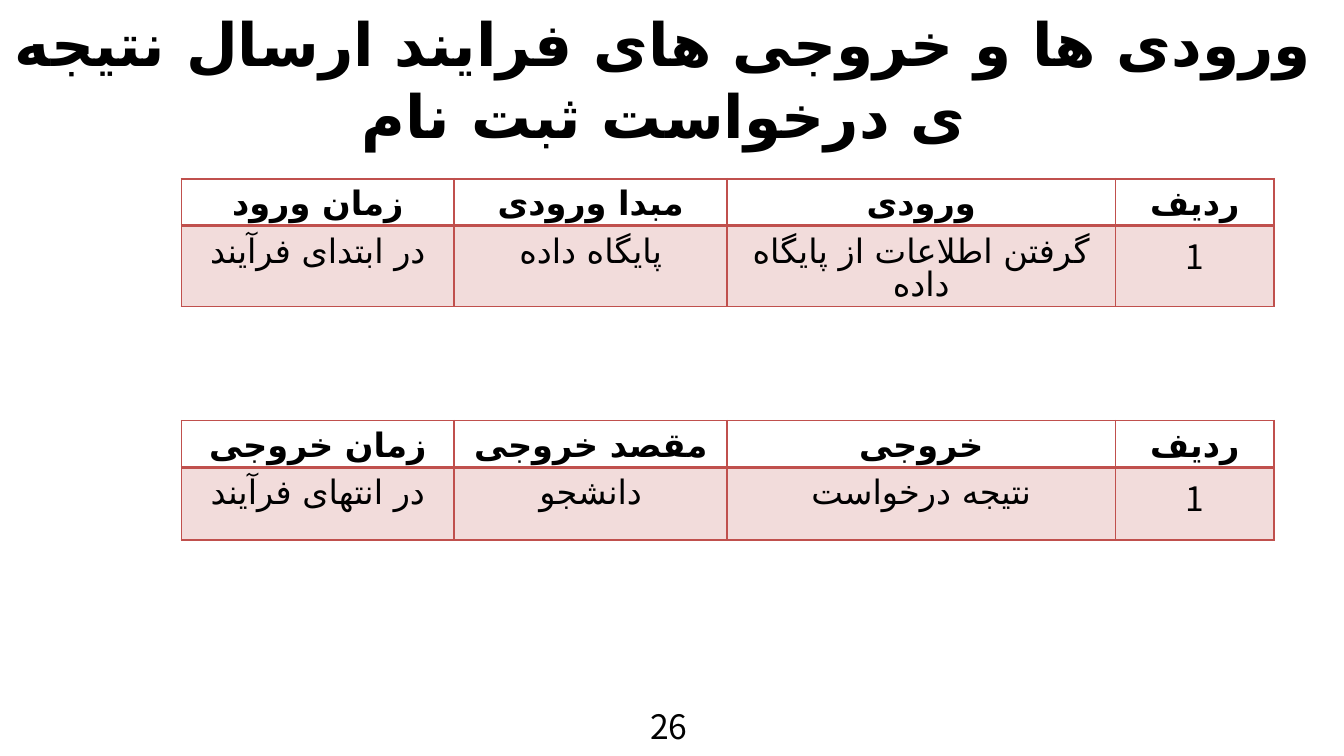
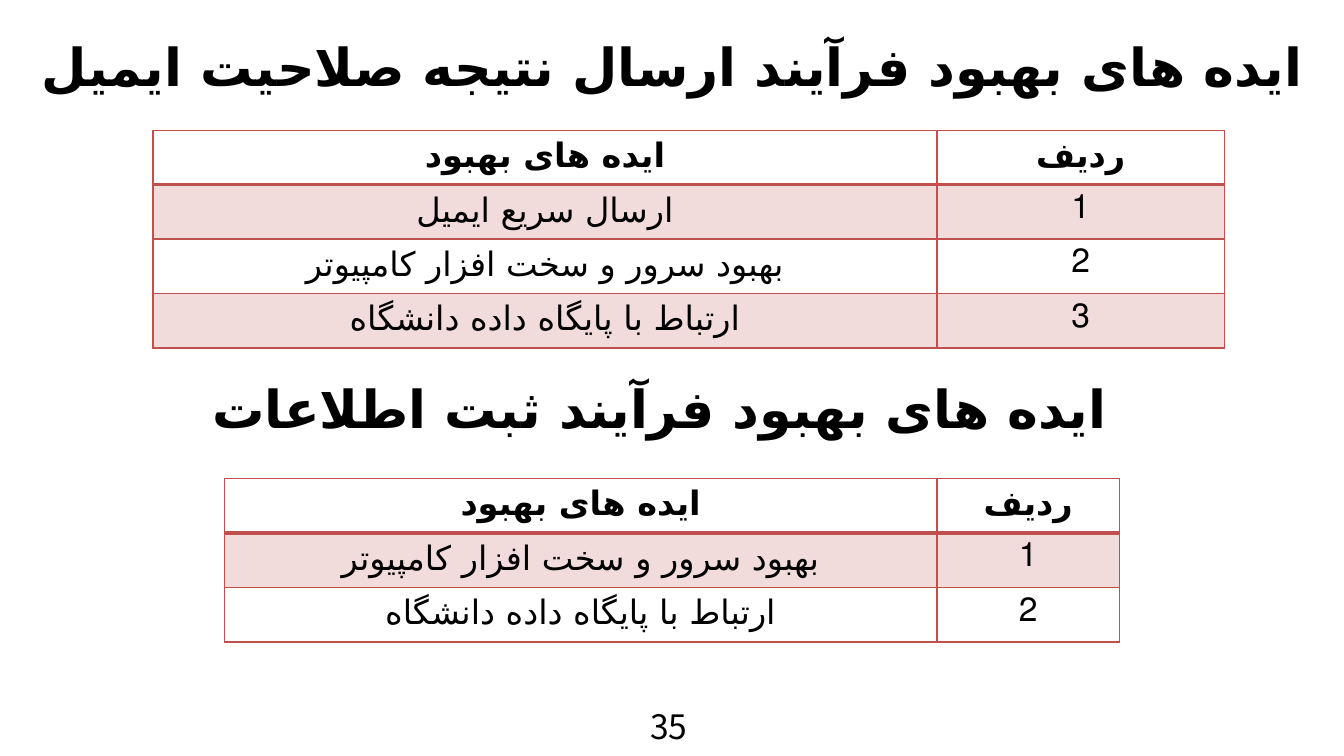
from dataclasses import dataclass

from lxml import etree
from pptx import Presentation
from pptx.dml.color import RGBColor
from pptx.enum.text import MSO_ANCHOR, PP_ALIGN
from pptx.oxml.ns import qn
from pptx.util import Inches, Pt

CENTER = PP_ALIGN.CENTER
LEFT = PP_ALIGN.LEFT
MIDDLE = MSO_ANCHOR.MIDDLE
TOP = MSO_ANCHOR.TOP


@dataclass(frozen=True)
class Theme:
    text: RGBColor = RGBColor(0, 0, 0)
    accent: RGBColor = RGBColor(0xC0, 0x50, 0x4D)
    band_opacity: int = 20
    title_font: str = "Calibri"
    body_font: str = "Noto Sans CJK KR"
    persian_font: str = "DejaVu Sans"
    title_size: int = 32
    heading_size: int = 28
    body_size: int = 18
    cell_line_spacing: float = 0.85
    cell_margin_top: float = 0.08
    rule: int = 1
    header_rule: int = 2


THEME = Theme()


def write(frame, text, font_name, size, bold=False, align=CENTER, rtl=False):
    paragraph = frame.paragraphs[0]
    paragraph.alignment = align
    if rtl:
        paragraph._p.get_or_add_pPr().set("rtl", "1")
    run = paragraph.add_run()
    run.text = text
    run.font.name = font_name
    run.font.size = Pt(size)
    run.font.bold = bold
    run.font.color.rgb = THEME.text
    if not text.isdigit():
        properties = run._r.get_or_add_rPr()
        properties.set("lang", "fa-IR")
        etree.SubElement(properties, qn("a:cs"), typeface=THEME.persian_font)


def add_text_frame(slide, box, anchor):
    frame = slide.shapes.add_textbox(*map(Inches, box)).text_frame
    frame.word_wrap = True
    frame.vertical_anchor = anchor
    return frame


def add_heading(slide, text, box, size, rtl=False):
    frame = add_text_frame(slide, box, MIDDLE)
    write(frame, text, THEME.title_font, size, bold=True, rtl=rtl)


def add_page_number(slide, number):
    frame = add_text_frame(slide, (4.74, 5.2, 0.51, 0.34), TOP)
    write(frame, str(number), THEME.body_font, THEME.body_size, align=LEFT)


def set_borders(cell, top, bottom):
    """Rule the four sides; top and bottom are widths in points."""
    properties = cell._tc.get_or_add_tcPr()
    sides = {"lnL": THEME.rule, "lnR": THEME.rule, "lnT": top, "lnB": bottom}
    for side, width in sides.items():
        line = etree.SubElement(properties, qn(f"a:{side}"), w=str(Pt(width)))
        fill = etree.SubElement(line, qn("a:solidFill"))
        etree.SubElement(fill, qn("a:srgbClr"), val=str(THEME.accent))


def shade(cell):
    cell.fill.solid()
    cell.fill.fore_color.rgb = THEME.accent
    color = cell._tc.tcPr.find(qn("a:solidFill")).find(qn("a:srgbClr"))
    etree.SubElement(color, qn("a:alpha"), val=str(THEME.band_opacity * 1000))


def add_ruled_table(slide, left, top, widths, heights, rows, rtl_numbers=True):
    """Draw a table with a bold header and every other body row shaded."""
    frame = slide.shapes.add_table(
        len(rows), len(widths), Inches(left), Inches(top),
        Inches(sum(widths)), Inches(sum(heights)))
    table = frame.table
    table.first_row = table.horz_banding = False
    for column, width in zip(table.columns, widths):
        column.width = Inches(width)
    for index, (row, height, texts) in enumerate(zip(table.rows, heights, rows)):
        row.height = Inches(height)
        is_header = index == 0
        for cell, text in zip(row.cells, texts):
            cell.margin_top = Inches(THEME.cell_margin_top)
            cell.margin_bottom = 0
            set_borders(cell,
                        THEME.header_rule if index == 1 else THEME.rule,
                        THEME.header_rule if is_header else THEME.rule)
            if index % 2:
                shade(cell)
            else:
                cell.fill.background()
            write(cell.text_frame, text, THEME.body_font, THEME.body_size,
                  bold=is_header, rtl=rtl_numbers or not text.isdigit())
            cell.text_frame.paragraphs[0].line_spacing = THEME.cell_line_spacing


def add_flow_table(slide, top, body_height, header, body):
    add_ruled_table(slide, 1.35, top, (2.03, 2.03, 2.89, 1.18),
                    (0.35, body_height), (header, body), rtl_numbers=False)


def add_ideas_table(slide, left, top, widths, height, ideas):
    rows = [("ایده های بهبود", "ردیف")]
    rows += [(idea, str(number)) for number, idea in enumerate(ideas, 1)]
    add_ruled_table(slide, left, top, widths, [height / len(rows)] * len(rows), rows)


def build_inputs_outputs(slide):
    add_heading(slide, "ورودی ها و خروجی های فرایند ارسال نتیجه ی درخواست ثبت نام",
                (0, 0.21, 9.88, 0.75), THEME.title_size)
    add_flow_table(slide, 1.33, 0.6,
                   ("زمان ورود", "مبدا ورودی", "ورودی", "ردیف"),
                   ("در ابتدای فرآیند", "پایگاه داده",
                    "گرفتن اطلاعات از پایگاه داده", "1"))
    add_flow_table(slide, 3.13, 0.54,
                   ("زمان خروجی", "مقصد خروجی", "خروجی", "ردیف"),
                   ("در انتهای فرآیند", "دانشجو", "نتیجه درخواست", "1"))
    add_page_number(slide, 26)


def build_improvement_ideas(slide):
    shared_ideas = ["بهبود سرور و سخت افزار کامپیوتر", "ارتباط با پایگاه داده دانشگاه"]
    add_heading(slide, "ایده های بهبود فرآیند ارسال نتیجه صلاحیت ایمیل",
                (0, 0, 10, 0.97), THEME.heading_size, rtl=True)
    add_ideas_table(slide, 1.14, 0.97, (5.83, 2.14), 1.62,
                    ["ارسال سریع ایمیل"] + shared_ideas)
    add_heading(slide, "ایده های بهبود فرآیند ثبت اطلاعات",
                (1.03, 2.28, 7.75, 1.51), THEME.heading_size)
    add_ideas_table(slide, 1.67, 3.56, (5.3, 1.36), 1.22, shared_ideas)
    add_page_number(slide, 35)


def main():
    presentation = Presentation()
    presentation.slide_width = Inches(10)
    presentation.slide_height = Inches(10 * 9 / 16)
    blank = presentation.slide_layouts[6]
    for build in (build_inputs_outputs, build_improvement_ideas):
        build(presentation.slides.add_slide(blank))
    presentation.save("out.pptx")


if __name__ == "__main__":
    main()
